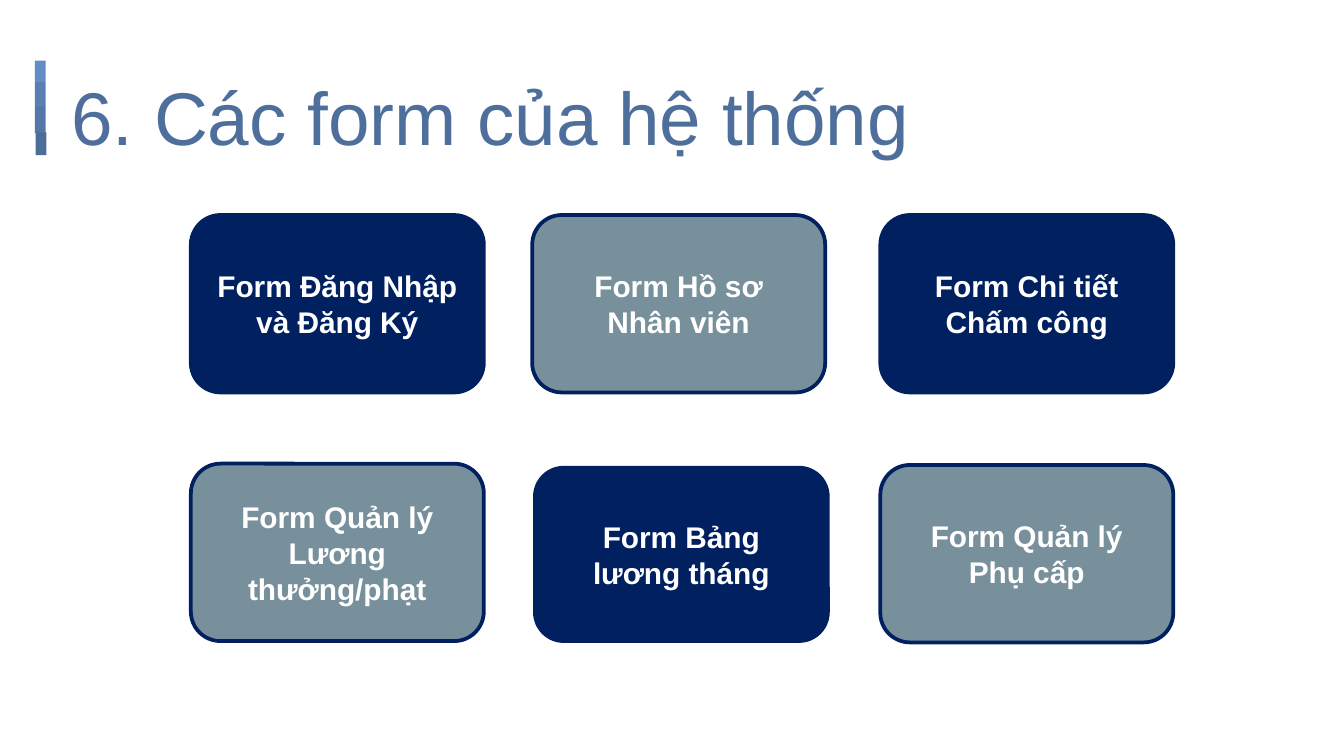
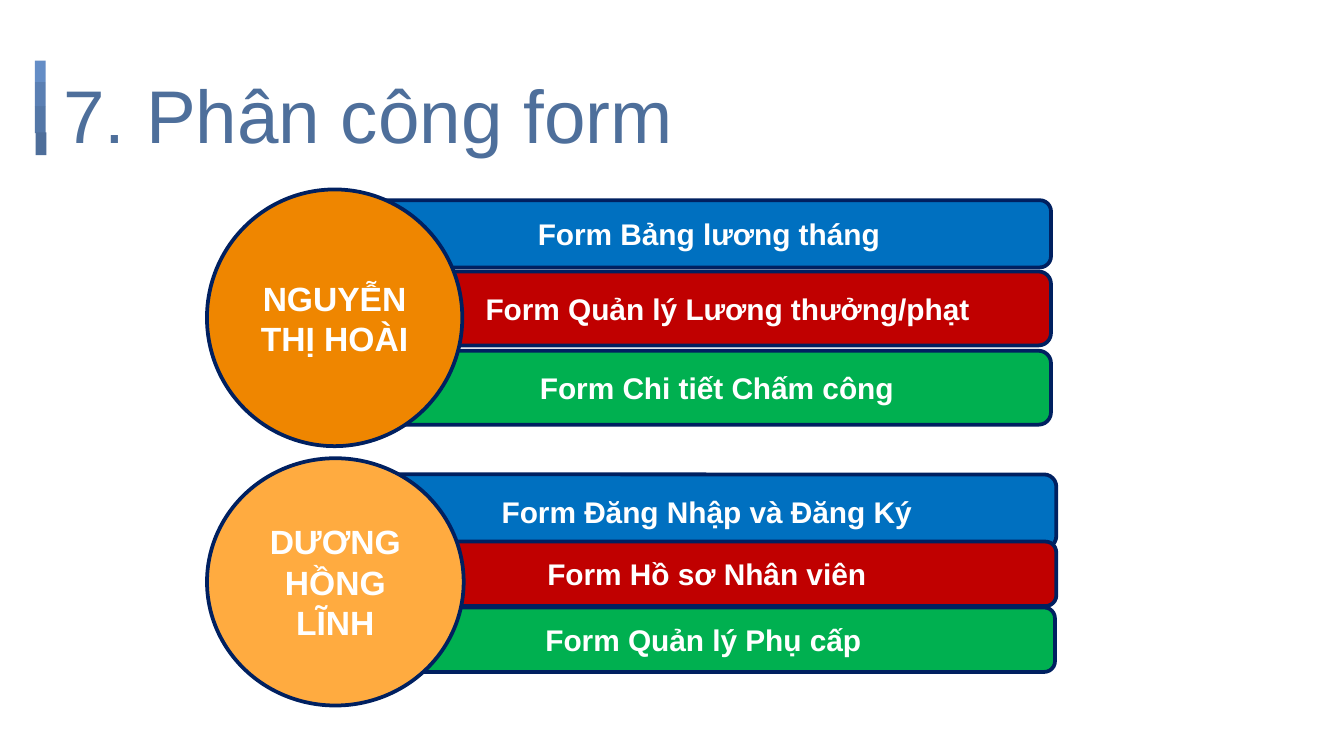
"""Build two slides: the forms of the system and who is assigned to each."""
from pptx import Presentation
from pptx.dml.color import RGBColor
from pptx.enum.shapes import MSO_SHAPE as SHAPE
from pptx.enum.text import MSO_ANCHOR as ANCHOR, MSO_AUTO_SIZE as AUTOSIZE, PP_ALIGN as ALIGN
from pptx.util import Pt

PX = 9144
FONT = "Arial"
WHITE = RGBColor(0xFF, 0xFF, 0xFF)
TITLE_BLUE = RGBColor(0x4E, 0x6F, 0x9B)
NAVY = RGBColor(0x00, 0x20, 0x60)
SLATE = RGBColor(0x78, 0x90, 0x9C)
BLUE = RGBColor(0x00, 0x70, 0xC0)
RED = RGBColor(0xC0, 0x00, 0x00)
GREEN = RGBColor(0x00, 0xB0, 0x50)
ORANGE = RGBColor(0xEF, 0x86, 0x00)
AMBER = RGBColor(0xFF, 0xAB, 0x40)
BAND_1 = RGBColor(0x64, 0x8D, 0xC6)
BAND_2 = RGBColor(0x5A, 0x7F, 0xB3)
BAND_3 = RGBColor(0x54, 0x77, 0xA7)
BAND_4 = RGBColor(0x4E, 0x6E, 0x9A)

prs = Presentation()
prs.slide_width = 1000 * PX
prs.slide_height = prs.slide_width * 9 // 16
layout = prs.slide_layouts[5]


def add_title(s, x, y, text):
    sp = s.shapes.title
    sp.left, sp.top, sp.width, sp.height = x * PX, y * PX, 925 * PX, 63 * PX
    tf = sp.text_frame
    tf.auto_size = AUTOSIZE.NONE
    tf.vertical_anchor = ANCHOR.TOP
    tf.margin_left = tf.margin_right = tf.margin_top = tf.margin_bottom = 10 * PX
    p = tf.paragraphs[0]
    p.alignment = ALIGN.LEFT
    r = p.add_run()
    r.text = text
    r.font.name, r.font.size = FONT, Pt(40)
    r.font.color.rgb = TITLE_BLUE


def add_box(s, kind, x, y, w, h, fill, text, size=16):
    sp = s.shapes.add_shape(kind, x * PX, y * PX, w * PX, h * PX)
    sp.shadow.inherit = False
    sp.fill.solid()
    sp.fill.fore_color.rgb = fill
    sp.line.color.rgb = NAVY
    sp.line.width = Pt(2)
    tf = sp.text_frame
    tf.word_wrap = True
    tf.vertical_anchor = ANCHOR.MIDDLE
    p = tf.paragraphs[0]
    p.alignment = ALIGN.CENTER
    r = p.add_run()
    r.text = text
    r.font.name, r.font.size, r.font.bold = FONT, Pt(size), True
    r.font.color.rgb = WHITE


s = prs.slides.add_slide(layout)
for x, y, w, color in [
    (20, 85, 20, BAND_3),
    (22, 103, 17, BAND_4),
    (22, 49, 16, BAND_1),
    (21, 66, 18, BAND_2),
]:
    sp = s.shapes.add_shape(SHAPE.RECTANGLE, x * PX, y * PX, w * PX, 8 * PX)
    sp.rotation = 270
    sp.shadow.inherit = False
    sp.fill.solid()
    sp.fill.fore_color.rgb = color
    sp.line.fill.background()
    layout.shapes.element.append(sp.element)

add_title(s, 43, 43, "6. Các form của hệ thống")
for x, y, h, fill, text in [
    (142, 160, 132, NAVY, "Form Đăng Nhập và Đăng Ký"),
    (396, 160, 132, SLATE, "Form Hồ sơ Nhân viên"),
    (655, 160, 132, NAVY, "Form Chi tiết Chấm công"),
    (655, 346, 132, SLATE, "Form Quản lý Phụ cấp"),
    (142, 345, 132, SLATE, "Form Quản lý Lương thưởng/phạt"),
    (398, 348, 129, NAVY, "Form Bảng lương tháng"),
]:
    add_box(s, SHAPE.ROUNDED_RECTANGLE, x, y, 218, h, fill, text)

s = prs.slides.add_slide(layout)
add_title(s, 37, 41, "7. Phân công form")
for x, y, w, h, fill, text in [
    (266, 353, 520, 55, BLUE, "Form Đăng Nhập và Đăng Ký"),
    (266, 403, 520, 48, RED, "Form Hồ sơ Nhân viên"),
    (285, 261, 497, 55, GREEN, "Form Chi tiết Chấm công"),
    (262, 452, 523, 48, GREEN, "Form Quản lý Phụ cấp"),
    (301, 202, 481, 55, RED, "Form Quản lý Lương thưởng/phạt"),
    (273, 149, 509, 50, BLUE, "Form Bảng lương tháng"),
]:
    add_box(s, SHAPE.ROUNDED_RECTANGLE, x, y, w, h, fill, text)
for y, w, h, fill, name in [
    (141, 190, 191, ORANGE, "NGUYỄN THỊ HOÀI"),
    (341, 191, 184, AMBER, "DƯƠNG HỒNG LĨNH"),
]:
    add_box(s, SHAPE.OVAL, 154, y, w, h, fill, name, 18)

prs.save("out.pptx")
